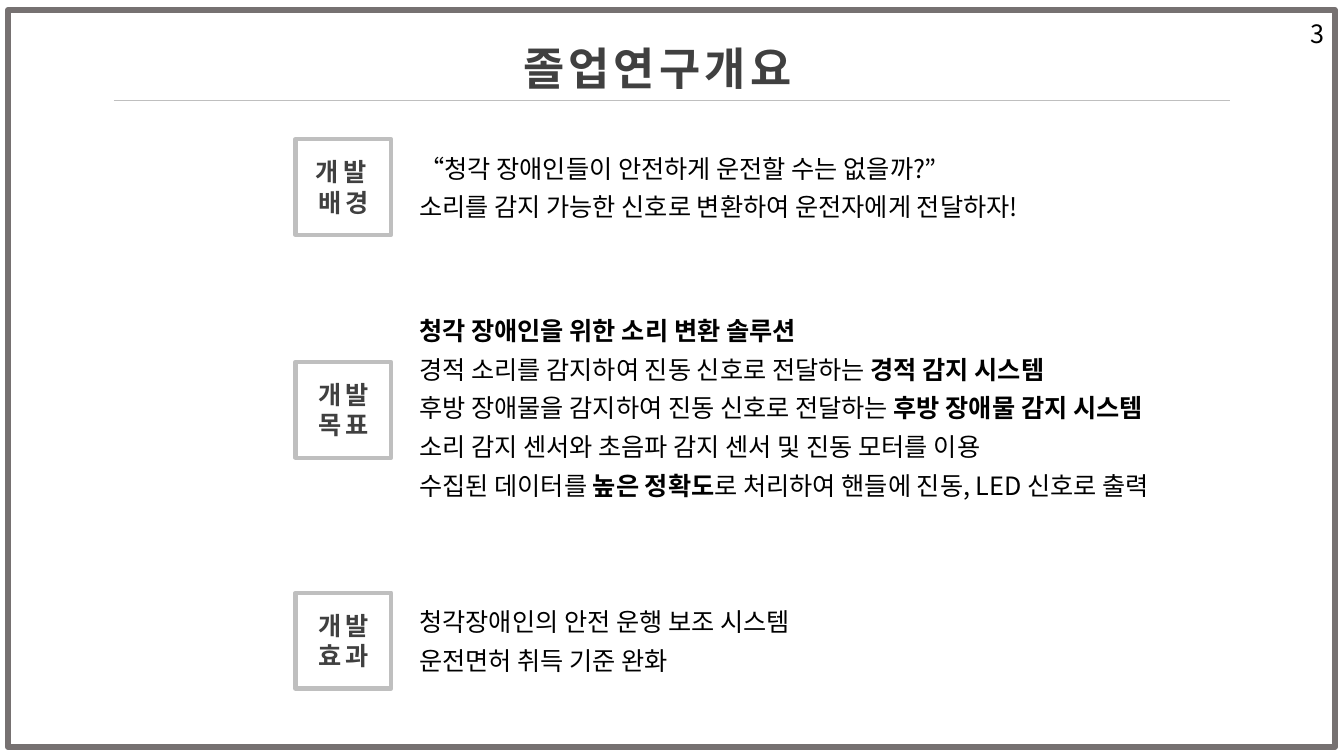
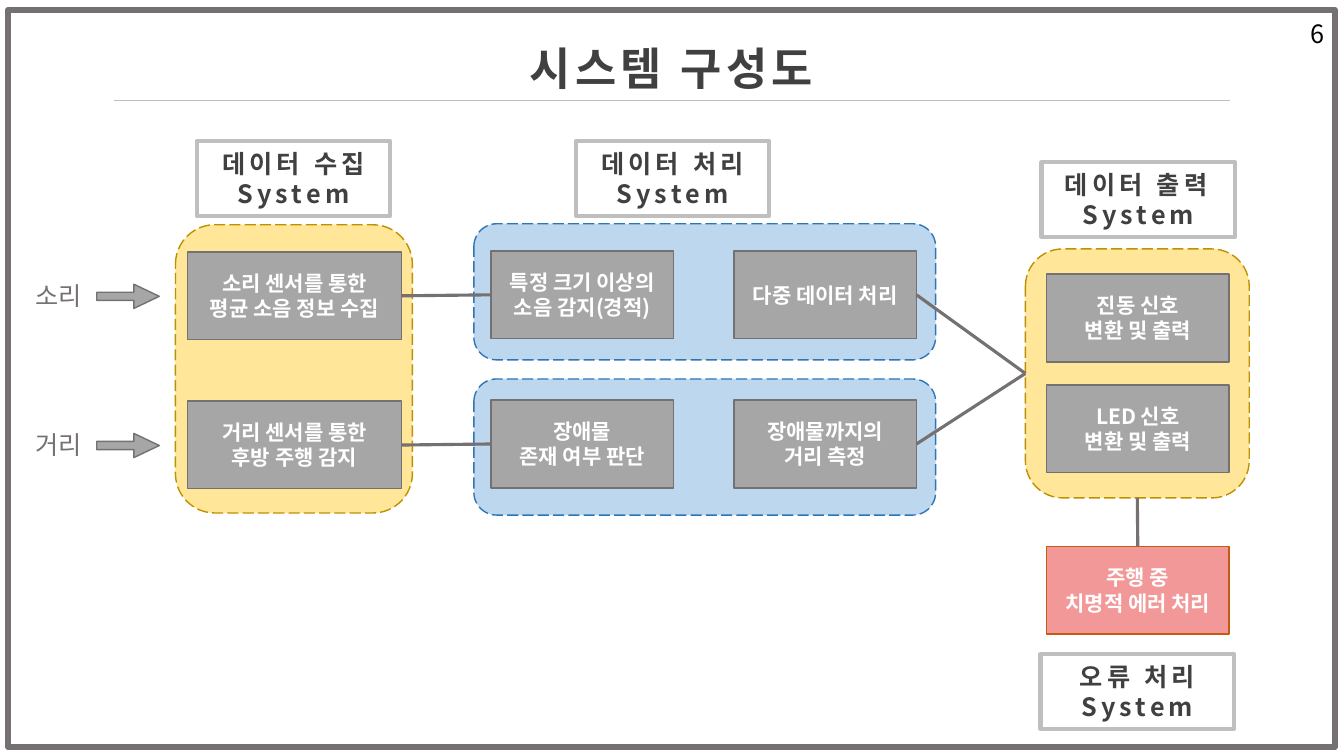
from dataclasses import dataclass

from lxml import etree
from pptx import Presentation
from pptx.dml.color import RGBColor
from pptx.enum import dml, shapes
from pptx.enum import text as et
from pptx.oxml.ns import qn
from pptx.util import Inches, Pt


@dataclass(frozen=True)
class Theme:
    font: str = "Noto Sans CJK KR"
    black: str = "000000"
    white: str = "FFFFFF"
    dark: str = "404040"
    gray: str = "767171"
    card: str = "A6A6A6"
    rule: str = "BFBFBF"
    yellow: tuple = ("FFE699", "BF9000")
    blue: tuple = ("BDD7EE", "2E75B6")
    error: tuple = ("F29898", "C55A11")
    title_size: int = 32
    body_size: int = 18
    card_size: int = 15


T = Theme()
RECT = shapes.MSO_SHAPE.RECTANGLE
ROUND = shapes.MSO_SHAPE.ROUNDED_RECTANGLE
ARROW = shapes.MSO_SHAPE.RIGHT_ARROW
TOP, LEFT, BOTTOM, RIGHT = range(4)  # connection sites of a rectangle


def rgb(value):
    return RGBColor.from_string(value)


def write(sp, content, size=T.body_size, color=T.black, bold=False,
          spacing=0, before=None, align=None):
    """One paragraph per line of content; **marks** switch bold over."""
    tf = sp.text_frame
    for i, line in enumerate(content.split("\n")):
        p = tf.paragraphs[0] if i == 0 else tf.add_paragraph()
        p.alignment = align
        if before is not None:
            p.space_before = Pt(before)
        for j, part in enumerate(line.split("**")):
            if not part:
                continue
            r = p.add_run()
            r.text = part
            r.font.size = Pt(size)
            r.font.bold = bold != (j % 2 == 1)
            r.font.color.rgb = rgb(color)
            r.font.name = T.font
            props = r._r.get_or_add_rPr()
            etree.SubElement(props, qn("a:ea")).set("typeface", T.font)
            if spacing:
                props.set("spc", str(spacing * 100))
    return sp


def add_text(s, box, content, **style):
    sp = s.shapes.add_textbox(*map(Inches, box))
    sp.text_frame.word_wrap = False
    sp.text_frame.auto_size = et.MSO_AUTO_SIZE.SHAPE_TO_FIT_TEXT
    return write(sp, content, **style)


def add_box(s, box, line, fill=None, width=1, kind=RECT):
    sp = s.shapes.add_shape(kind, *map(Inches, box))
    sp.shadow.inherit = False
    if fill:
        sp.fill.solid()
        sp.fill.fore_color.rgb = rgb(fill)
    else:
        sp.fill.background()
    sp.line.color.rgb = rgb(line)
    sp.line.width = Pt(width)
    sp.text_frame.vertical_anchor = et.MSO_ANCHOR.MIDDLE
    return sp


def add_line(s, color, width, start=(0, 0), end=(0, 0)):
    cx = s.shapes.add_connector(shapes.MSO_CONNECTOR.STRAIGHT,
                                *map(Inches, (*start, *end)))
    cx.line.color.rgb = rgb(color)
    cx.line.width = Pt(width)
    etree.SubElement(cx._element.spPr, qn("a:effectLst"))
    return cx


def link(s, source, source_site, target, target_site):
    cx = add_line(s, T.gray, 2.25)
    cx.begin_connect(source, source_site)
    cx.end_connect(target, target_site)


def heading(s, box, content):
    """Outlined label with letter-spaced bold text."""
    write(add_box(s, box, T.rule, width=3), content, color=T.dark,
          bold=True, spacing=3, align=et.PP_ALIGN.CENTER)


def card(s, box, content, fill=T.card, line=T.gray):
    return write(add_box(s, box, line, fill), content, size=T.card_size,
                 color=T.white, bold=True, align=et.PP_ALIGN.CENTER)


def base_slide(prs, number, title, title_box, align=None):
    s = prs.slides.add_slide(prs.slide_layouts[6])
    add_line(s, T.rule, 0.5, (1.13, 1), (12.2, 1))
    add_text(s, title_box, title, size=T.title_size, color=T.dark,
             bold=True, spacing=3, align=align)
    add_box(s, (0.08, 0.1, 13.16, 7.31), T.gray, width=4.5)
    add_text(s, (12.9, 0.13, 0.34, 0.4), str(number))
    return s


def topic(s, box, label, content):
    """Square label with its text beside it, centred on the same line."""
    x, y, w, h = box
    side = 0.95
    lines = content.count("\n") + 1
    text_h = 0.4 * lines - 0.03
    heading(s, (x, y + (h - side) / 2, side, side), label)
    add_text(s, (x + 1.13, y + (h - text_h) / 2, w - 1.13, text_h),
             content, before=6)


def stage(s, box, colors, cards, card_w=1.81):
    """Dashed group; cards are (dx, dy, text) from its corner."""
    x, y = box[:2]
    fill, line = colors
    group = add_box(s, box, line, fill, kind=ROUND)
    group.line.dash_style = dml.MSO_LINE.LONG_DASH
    return group, [card(s, (x + dx, y + dy, card_w, 0.87), content)
                   for dx, dy, content in cards]


def signal(s, x, y, name):
    add_text(s, (x, y, 0.71, 0.4), name, color=T.gray)
    arrow = add_box(s, (x + 0.71, y + 0.09, 0.62, 0.24), T.gray, T.card,
                    kind=ARROW)
    arrow.adjustments[0] = 0.34
    arrow.adjustments[1] = 1.05


def overview_slide(prs):
    s = base_slide(prs, 3, "졸업연구개요", (5.09, 0.35, 3.15, 0.64))
    topic(s, (2.93, 1.38, 8, 0.95), "개발배경",
          "“청각 장애인들이 안전하게 운전할 수는 없을까?”\n"
          "소리를 감지 가능한 신호로 변환하여 운전자에게 전달하자!")
    topic(s, (2.93, 3.09, 9.56, 1.95), "개발\n목표",
          "**청각 장애인을 위한 소리 변환 솔루션**\n"
          "경적 소리를 감지하여 진동 신호로 전달하는 **경적 감지 시스템**\n"
          "후방 장애물을 감지하여 진동 신호로 전달하는 "
          "**후방 장애물 감지 시스템**\n"
          "소리 감지 센서와 초음파 감지 센서 및 진동 모터를 이용\n"
          "수집된 데이터를 **높은 정확도**로 처리하여 핸들에 진동, "
          "LED 신호로 출력")
    topic(s, (2.93, 5.88, 5.48, 0.95), "개발\n효과",
          "청각장애인의 안전 운행 보조 시스템\n운전면허 취득 기준 완화")


def system_slide(prs):
    s = base_slide(prs, 6, "시스템 구성도", (5, 0.35, 3.32, 0.64),
                   et.PP_ALIGN.CENTER)
    for x, y, label in [(1.95, 1.4, "데이터 수집\nSystem"),
                        (5.71, 1.4, "데이터 처리\nSystem"),
                        (10.33, 1.61, "데이터 출력System"),
                        (10.32, 6.49, "오류 처리\nSystem")]:
        heading(s, (x, y, 1.92, 0.74), label)

    _, sensors = stage(s, (1.74, 2.23, 2.35, 2.86), T.yellow, [
        (0.12, 0.27, "소리 센서를 통한\n평균 소음 정보 수집"),
        (0.12, 1.75, "거리 센서를 통한\n후방 주행 감지")], card_w=2.12)
    output, _ = stage(s, (10.17, 2.47, 2.22, 2.47), T.yellow, [
        (0.21, 0.25, "진동 신호\n변환 및 출력"),
        (0.21, 1.35, "LED 신호\n변환 및 출력")])
    error = card(s, (10.38, 5.42, 1.81, 0.87), "주행 중\n치명적 에러 처리",
                 *T.error)
    link(s, error, TOP, output, BOTTOM)

    rows = [("소리", 2.73, 2.22, 0.27, "특정 크기 이상의\n소음 감지(경적)",
             "다중 데이터 처리"),
            ("거리", 4.21, 3.76, 0.21, "장애물\n존재 여부 판단",
             "장애물까지의\n거리 측정")]
    for sensor, (name, name_y, y, dy, first, second) in zip(sensors, rows):
        signal(s, 0.25, name_y, name)
        _, (detect, process) = stage(s, (4.7, y, 4.58, 1.35), T.blue, [
            (0.17, dy, first), (2.58, dy, second)])
        link(s, sensor, RIGHT, detect, LEFT)
        link(s, process, RIGHT, output, LEFT)


def main():
    prs = Presentation()
    prs.slide_width, prs.slide_height = Inches(13.33), Inches(7.5)
    overview_slide(prs)
    system_slide(prs)
    prs.save("out.pptx")


if __name__ == "__main__":
    main()
